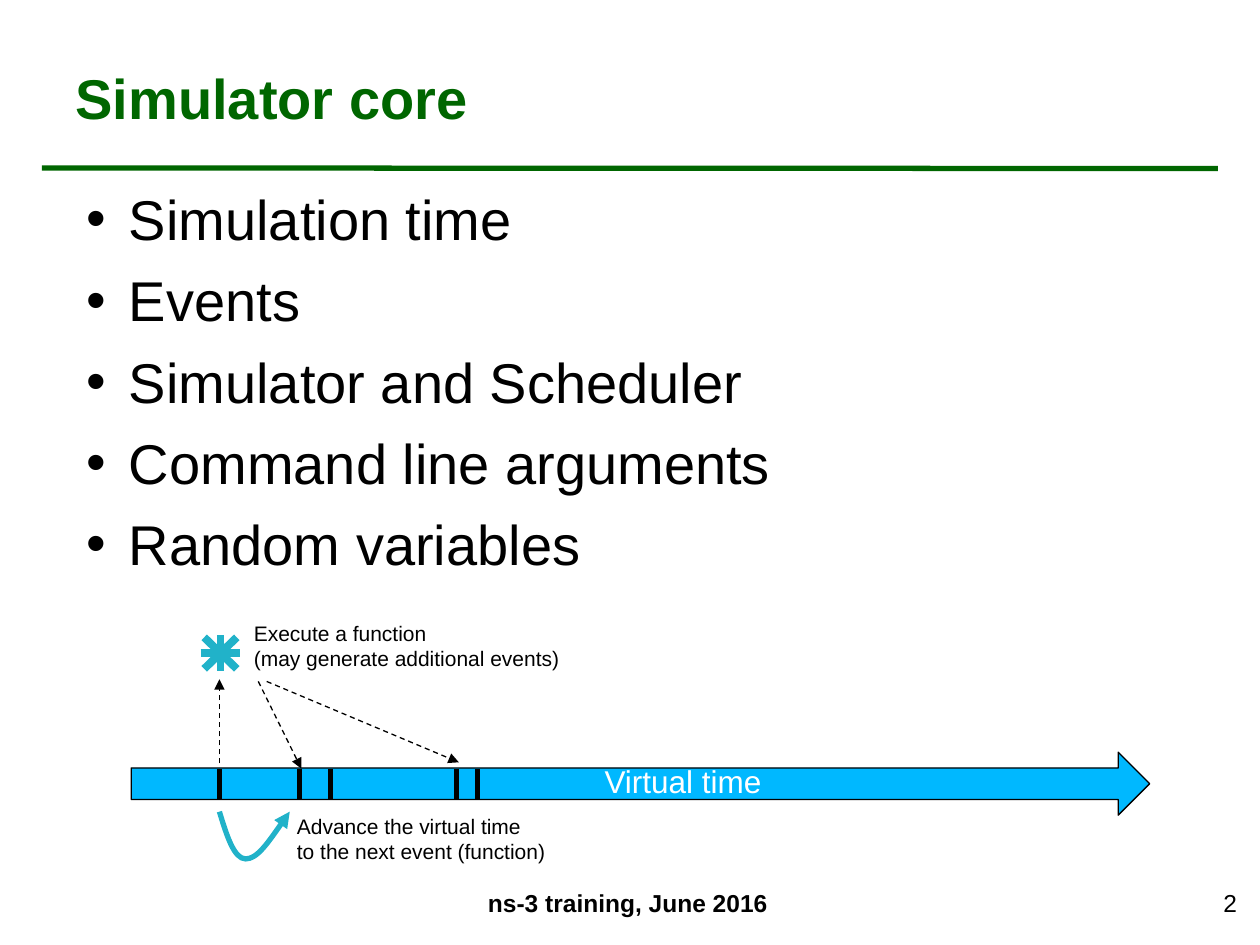
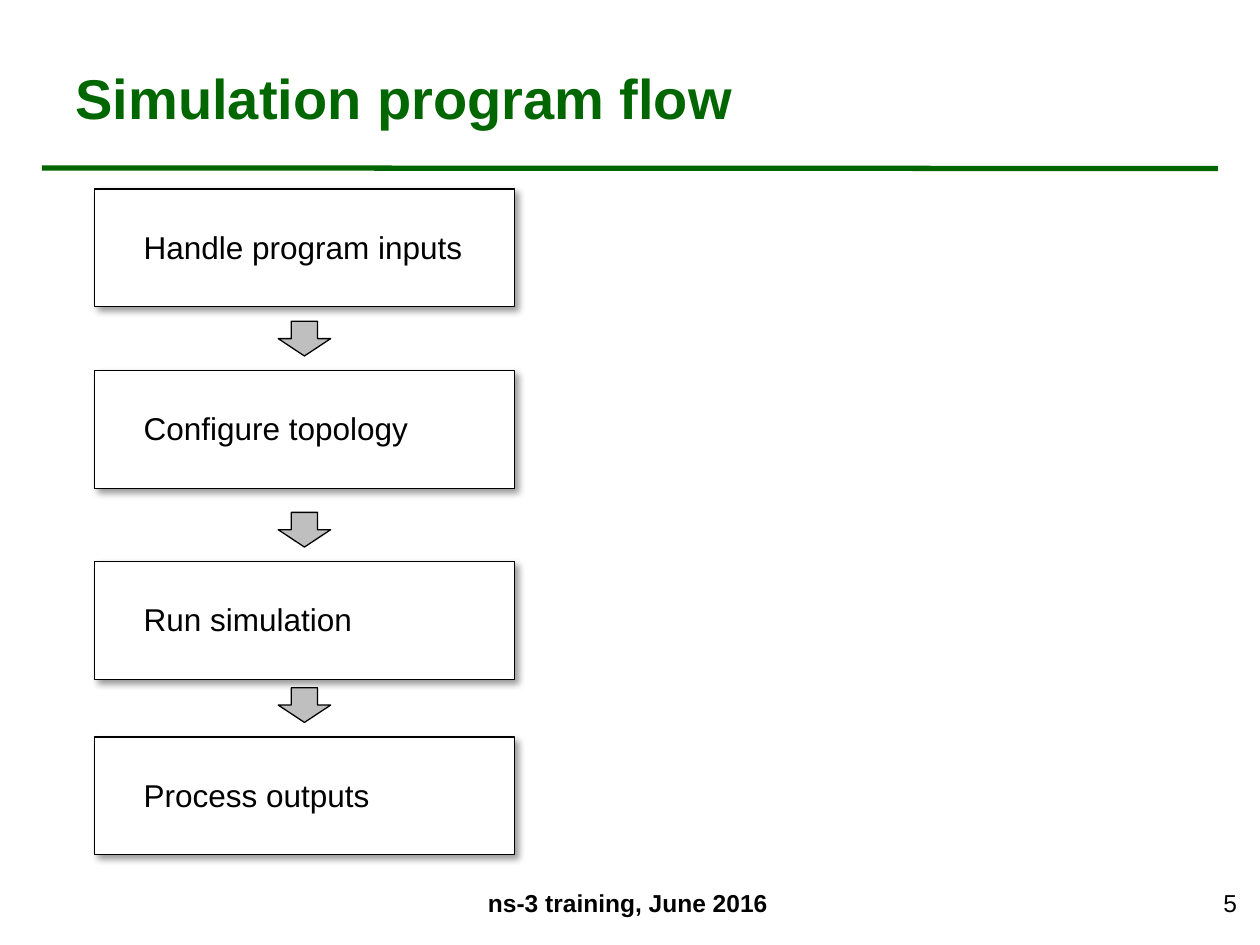
import dataclasses

import lxml.etree
import pptx
import pptx.dml.color
import pptx.enum.dml
import pptx.enum.shapes
import pptx.enum.text
import pptx.oxml.ns
import pptx.util

SHAPES = pptx.enum.shapes.MSO_SHAPE
ALIGN = pptx.enum.text.PP_ALIGN
ANCHOR = pptx.enum.text.MSO_ANCHOR
NO_FIT = pptx.enum.text.MSO_AUTO_SIZE.NONE
DASH = pptx.enum.dml.MSO_LINE.DASH

COLORS = {
    "green": "006600",
    "black": "000000",
    "white": "FFFFFF",
    "sky": "00B8FF",
    "teal": "21B2C9",
    "gray": "BFBFBF",
}
FONT = "Arial"
# The slide is a grid of 120 columns and 90 rows of square cells.
COLUMNS, ROWS = 120, 90
CELL = pptx.util.Inches(10) // COLUMNS


@dataclasses.dataclass
class Box:
    """A rectangle measured in grid cells."""

    left: float
    top: float
    width: float
    height: float

    def inner(self, left, top, width, height):
        """Return a box whose corner is counted from this box's corner."""
        return Box(self.left + left, self.top + top, width, height)

    def point(self, column, row):
        """Return the slide position of a point counted from this box's corner."""
        return cells(self.left + column), cells(self.top + row)

    def lengths(self):
        """Return left, top, width and height as slide lengths."""
        return [cells(n) for n in (self.left, self.top, self.width, self.height)]


TITLE_BOX = Box(6, 3.6, 107.6, 11.3)
BODY_BOX = Box(7, 17, 107.6, 64)
TIMELINE_BOX = Box(12.5, 58.5, 97, 24.5)
FLOW_BOX = Box(9, 18, 40, 63.4)
FOOTER_BOX = Box(41, 84, 37.6, 6)
NUMBER_BOX = Box(91.4, 84, 27.6, 6)


def cells(count):
    """Turn grid cells into a length."""
    return pptx.util.Emu(round(count * CELL))


def rgb(name):
    """Look up a colour by name."""
    return pptx.dml.color.RGBColor.from_string(COLORS[name])


def apply(target, **formats):
    """Set every given attribute on the target."""
    for name, value in formats.items():
        setattr(target, name, value)


def add_xml(parent, tag, **attributes):
    """Append a drawing element and return it."""
    return lxml.etree.SubElement(parent, pptx.oxml.ns.qn(tag), attributes)


def write(frame, lines, size, color="black", bold=False, **formats):
    """Fill a text frame with one formatted paragraph for each line."""
    frame.text = "\n".join(lines)
    for paragraph in frame.paragraphs:
        apply(paragraph, **{"alignment": ALIGN.LEFT, **formats})
        for run in paragraph.runs:
            apply(run.font, name=FONT, size=pptx.util.Pt(size), bold=bold)
            run.font.color.rgb = rgb(color)


def add_text(slide, box, lines, size, wrap=False, **formats):
    """Add a text box."""
    frame = slide.shapes.add_textbox(*box.lengths()).text_frame
    frame.word_wrap = wrap
    write(frame, lines, size, **formats)


def style_line(line, color, width):
    """Set the colour and width of a line."""
    line.color.rgb = rgb(color)
    line.width = pptx.util.Pt(width)


def add_line(slide, start, end, color, width, arrow=False):
    """Add a straight line, or a dashed arrow."""
    connector = slide.shapes.add_connector(
        pptx.enum.shapes.MSO_CONNECTOR.STRAIGHT, *start, *end)
    style_line(connector.line, color, width)
    if arrow:
        connector.line.dash_style = DASH
        add_arrowhead(connector)
    add_xml(connector._element.spPr, "a:effectLst")


def add_arrowhead(shape):
    """Put a triangle at the end of a line."""
    add_xml(shape.line._get_or_add_ln(), "a:tailEnd", type="triangle")


def add_block(slide, kind, box, fill):
    """Add a filled shape with a thin black outline and no shadow."""
    shape = slide.shapes.add_shape(kind, *box.lengths())
    shape.fill.solid()
    shape.fill.fore_color.rgb = rgb(fill)
    style_line(shape.line, "black", 0.75)
    shape.shadow.inherit = False
    return shape


def add_shadow(shape):
    """Give a shape a soft shadow to the lower right."""
    effects = shape._element.spPr.find(pptx.oxml.ns.qn("a:effectLst"))
    shadow = add_xml(effects, "a:outerShdw", blurRad=str(pptx.util.Pt(4)),
                     dist=str(pptx.util.Pt(3)), dir="2700000",
                     algn="tl", rotWithShape="0")
    color = add_xml(shadow, "a:srgbClr", val=COLORS["black"])
    add_xml(color, "a:alpha", val="40000")


def add_curve(slide, points, color, width):
    """Add an open curve with an arrowhead; each three points end one arc."""
    builder = slide.shapes.build_freeform(*points[0])
    builder.add_line_segments(points[1:], close=False)
    curve = builder.convert_to_shape()
    curve.fill.background()
    style_line(curve.line, color, width)
    curve.shadow.inherit = False
    add_arrowhead(curve)
    segments = list(curve._element.iter(pptx.oxml.ns.qn("a:lnTo")))
    outline = segments[0].getparent()
    for first in range(0, len(segments), 3):
        arc = add_xml(outline, "a:cubicBezTo")
        for segment in segments[first:first + 3]:
            arc.append(segment[0])
            outline.remove(segment)


def add_slide(presentation, layout, title, number):
    """Add a slide with its title, green rule, footer and number."""
    slide = presentation.slides.add_slide(presentation.slide_layouts[layout])
    page = Box(0, 0, COLUMNS, ROWS)
    add_line(slide, page.point(4, 16), page.point(116, 16.05), "green", 3)
    place(slide.shapes.title, TITLE_BOX, ANCHOR.MIDDLE)
    write(slide.shapes.title.text_frame, [title], 32, "green", True)
    add_text(slide, FOOTER_BOX, ["ns-3 training, June 2016"], 14, wrap=True,
             bold=True, alignment=ALIGN.CENTER)
    add_text(slide, NUMBER_BOX, [str(number)], 14, wrap=True,
             alignment=ALIGN.RIGHT)
    return slide


def place(placeholder, box, anchor):
    """Move a placeholder and fix how its text sits."""
    apply(placeholder, **dict(zip(("left", "top", "width", "height"),
                                  box.lengths())))
    apply(placeholder.text_frame, vertical_anchor=anchor, auto_size=NO_FIT,
          word_wrap=True)


def fill_body(slide, box, items):
    """Write the bullet list in the body placeholder."""
    body = slide.placeholders[1]
    place(body, box, ANCHOR.TOP)
    write(body.text_frame, items, 32, space_before=pptx.util.Pt(8))
    indent = pptx.util.Inches(0.34)
    for paragraph in body.text_frame.paragraphs:
        properties = paragraph._p.get_or_add_pPr()
        properties.set("marL", str(indent))
        properties.set("indent", str(-indent))
        color = add_xml(properties, "a:buClr")
        add_xml(color, "a:srgbClr", val=COLORS["black"])
        add_xml(properties, "a:buFont", typeface=FONT)
        add_xml(properties, "a:buChar", char="•")


def draw_timeline(slide, box):
    """Draw the virtual time arrow with its events and the running function."""
    add_block(slide, SHAPES.RIGHT_ARROW, box.inner(0, 13.14, 97, 6), "sky")

    star_x, star_y = 8.5, 3.7
    for across, down in ((1.55, 1.5), (-1.55, 1.5), (0, 1.7), (1.9, 0)):
        add_line(slide, box.point(star_x - across, star_y - down),
                 box.point(star_x + across, star_y + down), "teal", 4.5)

    for event in (8.4, 16, 19, 31, 33):
        add_line(slide, box.point(event, 14.7), box.point(event, 17.7),
                 "black", 3)

    for start, end in (((8.4, 14.2), (8.4, 6.2)),
                       ((12.1, 6.4), (16.2, 14.7)),
                       ((12.9, 6.4), (31.2, 14.1))):
        add_line(slide, box.point(*start), box.point(*end), "black", 0.75,
                 arrow=True)

    advance = ((8.4, 18.8), (9.1, 21.1), (9.8, 23.3), (10.9, 23.3),
               (12, 23.3), (13.5, 21.1), (15.1, 18.8))
    add_curve(slide, [box.point(*point) for point in advance], "teal", 3)

    add_text(slide, box.inner(10.5, 0, 31.7, 6),
             ["Execute a function", "(may generate additional events)"], 12)
    add_text(slide, box.inner(14.6, 18.4, 26.3, 6),
             ["Advance the virtual time", "to the next event (function)"], 12)
    add_text(slide, box.inner(43.9, 13.5, 17.5, 4.8), ["Virtual time"], 18,
             color="white")


def draw_flow(slide, box, steps):
    """Stack the steps (row, label, label width) with arrows between them."""
    arrow_width = 5
    for row, label, label_width in steps:
        step = box.inner(0, row, box.width, 11.2)
        add_shadow(add_block(slide, SHAPES.RECTANGLE, step, "white"))
        add_text(slide, step.inner(3.5, 3.1, label_width, 4.8), [label], 18)
        if row:
            add_block(slide, SHAPES.DOWN_ARROW,
                      step.inner((step.width - arrow_width) / 2, -4.7,
                                 arrow_width, 3.3), "gray")


presentation = pptx.Presentation()
apply(presentation, slide_width=cells(COLUMNS), slide_height=cells(ROWS))

core_slide = add_slide(presentation, 1, "Simulator core", 2)
fill_body(core_slide, BODY_BOX, [
    "Simulation time", "Events", "Simulator and Scheduler",
    "Command line arguments", "Random variables"])
draw_timeline(core_slide, TIMELINE_BOX)

flow_slide = add_slide(presentation, 5, "Simulation program flow", 5)
draw_flow(flow_slide, FLOW_BOX, [
    (0, "Handle program inputs", 33),
    (17.3, "Configure topology", 27.8),
    (35.5, "Run simulation", 22.4),
    (52.2, "Process outputs", 24.1)])

presentation.save("out.pptx")
